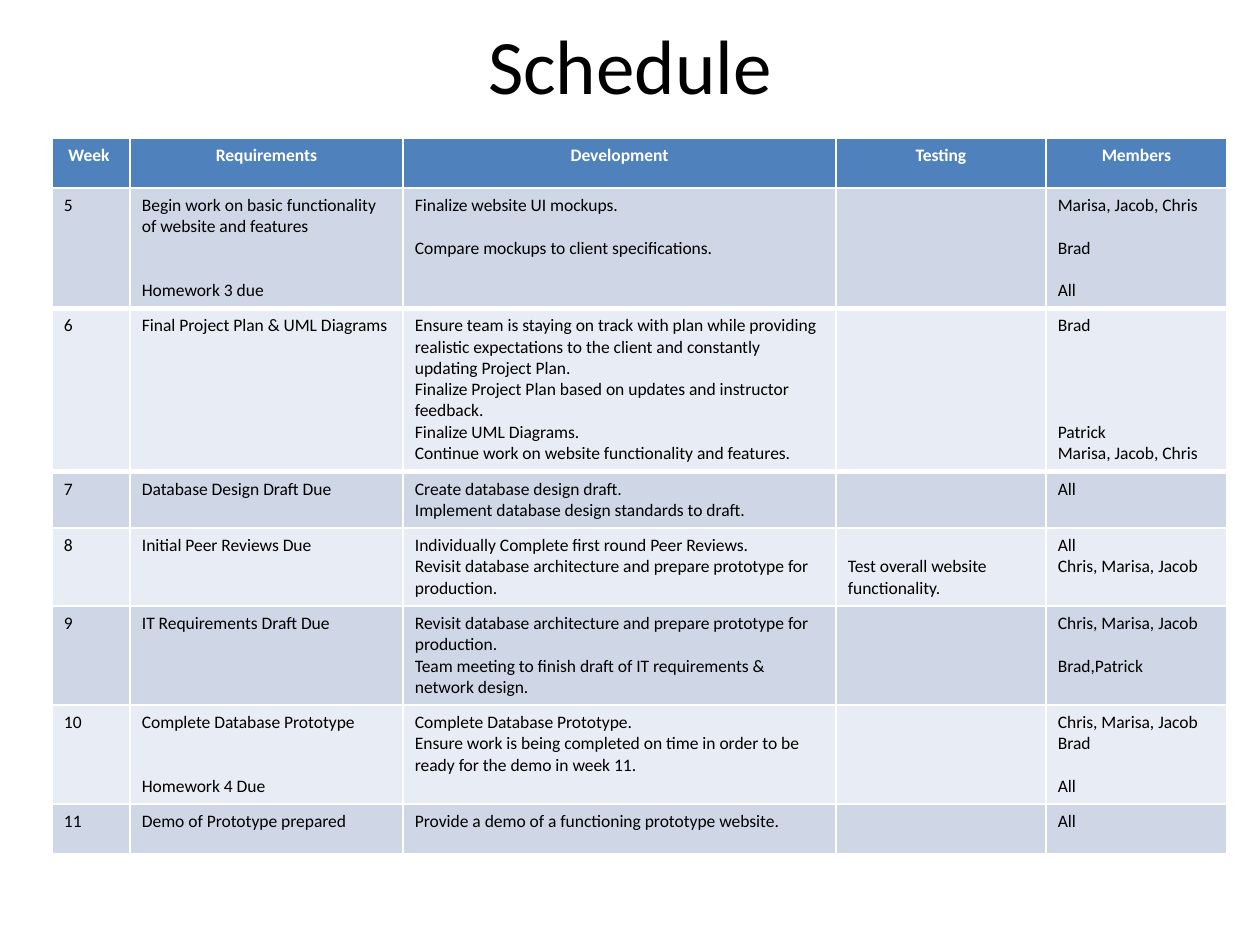
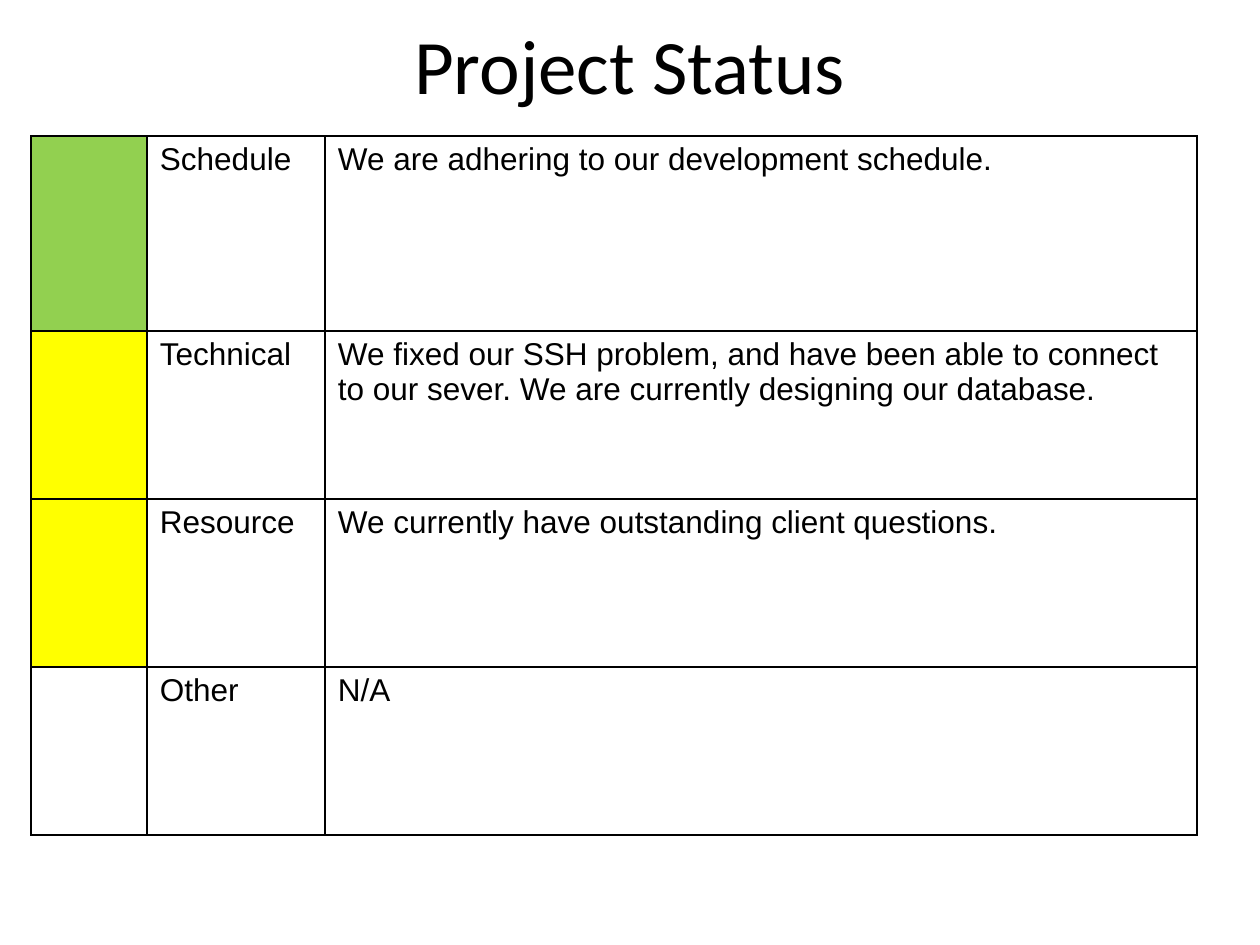
"""Build the schedule and project status slides."""
from pptx import Presentation
from pptx.dml.color import RGBColor
from pptx.enum.text import MSO_ANCHOR, PP_ALIGN
from pptx.oxml.ns import qn
from pptx.util import Emu, Pt
from lxml.etree import SubElement

HUES = {
    "black": "000000", "white": "FFFFFF", "head": "4F81BD",
    "odd": "CFD7E7", "even": "E8ECF4", "green": "92D050", "yellow": "FFFF00",
}

HEADS = ("Week ", "Requirements", "Development", "Testing", "Members")
WEEKS = [
    ("5", "Begin work on basic functionality of website and features\n\n\nHomework 3 due",
     "Finalize website UI mockups.\n\nCompare mockups to client specifications.",
     "", "Marisa, Jacob, Chris\n\nBrad\n\nAll"),
    ("6", "Final Project Plan & UML Diagrams",
     "Ensure team is staying on track with plan while providing realistic "
     "expectations to the client and constantly updating Project Plan.\n"
     "Finalize Project Plan based on updates and instructor feedback.\n"
     "Finalize UML Diagrams.\nContinue work on website functionality and features.",
     "", "Brad\n\n\n\n\nPatrick\nMarisa, Jacob, Chris"),
    ("7", "Database Design Draft Due",
     "Create database design draft.\nImplement database design standards to draft.",
     "", "All"),
    ("8", "Initial Peer Reviews Due",
     "Individually Complete first round Peer Reviews.\n"
     "Revisit database architecture and prepare prototype for production.",
     "\nTest overall website functionality.", "All\nChris, Marisa, Jacob"),
    ("9", "IT Requirements Draft Due",
     "Revisit database architecture and prepare prototype for production.\n"
     "Team meeting to finish draft of IT requirements & network design.",
     "", "Chris, Marisa, Jacob\n\nBrad,Patrick"),
    ("10", "Complete Database Prototype\n\n\nHomework 4 Due",
     "Complete Database Prototype.\nEnsure work is being completed on time in "
     "order to be ready for the demo in week 11.",
     "", "Chris, Marisa, Jacob\nBrad\n\nAll"),
    ("11", "Demo of Prototype prepared",
     "Provide a demo of a functioning prototype website.", "", "All"),
]
STATES = [
    ("green", "Schedule", "We are adhering to our development schedule."),
    ("yellow", "Technical", "We fixed our SSH problem, and have been able to connect "
     "to our sever. We are currently designing our database."),
    ("yellow", "Resource", "We currently have outstanding client questions."),
    ("white", "Other", "N/A"),
]

PLAN = {
    "title": "Schedule", "rows": [HEADS, *WEEKS], "at": (52, 138),
    "wide": (78, 273, 433, 210, 181), "high": (50, 120, 163, 56, 78, 99, 99, 50),
    "font": "Calibri", "size": 10, "lead": 12.2, "pad": (12, 7),
    "rule": "white", "thick": {2: 3, 3: 3}, "head": True,
    "fill": lambda r, c: "head" if r == 0 else "odd" if r % 2 else "even",
}
STATUS = {
    "title": "Project Status", "rows": [("", *row[1:]) for row in STATES],
    "at": (31, 136), "wide": (116, 178, 872), "high": (195, 168, 168, 168),
    "font": "Arial", "size": 18, "lead": 20.7, "pad": (13, 6),
    "rule": "black", "thick": {}, "head": False,
    "fill": lambda r, c: "white" if c else STATES[r][0],
}


def px(n):
    """Turn px into EMU."""
    return Emu(round(n * 914400 / 126))


def apply(item, form):
    """Set each format value on an item."""
    for key, val in form.items():
        setattr(item, key, val)


def style(font, hue, **form):
    """Format a font."""
    apply(font, form)
    font.color.rgb = RGBColor.from_string(HUES[hue])


def edge(cell, hue, top, base):
    """Draw the four borders of a cell."""
    prop = cell._tc.get_or_add_tcPr()
    for side, width in zip("LRTB", (1, 1, top, base)):
        line = SubElement(prop, qn("a:ln" + side), w=str(Pt(width)))
        paint = SubElement(line, qn("a:solidFill"))
        SubElement(paint, qn("a:srgbClr"), val=HUES[hue])


def write(cell, text, spec, head):
    """Write lines, turning each empty line into space above the next."""
    frame = cell.text_frame
    across, down = spec["pad"]
    apply(cell, {"margin_left": px(across), "margin_right": px(across),
                 "margin_top": px(down), "margin_bottom": px(down)})
    para, gap = frame.paragraphs[0], 0
    if not text:
        SubElement(para._p, qn("a:endParaRPr"), sz=str(spec["size"] * 100))
        return
    first = True
    for line in text.split("\n"):
        if not line:
            gap += 1
            continue
        space = Pt(gap * spec["lead"])
        if first:
            cell.margin_top = px(down) + space
        else:
            para = frame.add_paragraph()
            para.space_before = space
        para.alignment = PP_ALIGN.CENTER if head else PP_ALIGN.LEFT
        run = para.add_run()
        run.text = line
        style(run.font, "white" if head else "black", name=spec["font"],
              size=Pt(spec["size"]), bold=head)
        first, gap = False, 0


def build(deck, spec):
    """Add one slide with a title and a table."""
    slide = deck.slides.add_slide(deck.slide_layouts[5])
    title = slide.shapes.title
    apply(title, {"left": px(63), "top": px(10), "width": px(1134),
                  "height": px(108), "text": spec["title"]})
    title.text_frame.vertical_anchor = MSO_ANCHOR.MIDDLE
    para = title.text_frame.paragraphs[0]
    para.alignment = PP_ALIGN.CENTER
    style(para.runs[0].font, "black", name="Calibri", size=Pt(44))

    rows, wide, high = spec["rows"], spec["wide"], spec["high"]
    box = (*spec["at"], sum(wide), sum(high))
    grid = slide.shapes.add_table(len(rows), len(wide), *map(px, box)).table
    apply(grid, {"first_row": spec["head"], "horz_banding": False})
    for col, width in zip(grid.columns, wide):
        col.width = px(width)
    for r, row in enumerate(rows):
        grid.rows[r].height = px(high[r])
        for c, text in enumerate(row):
            cell = grid.cell(r, c)
            thick = spec["thick"]
            edge(cell, spec["rule"], thick.get(r, 1), thick.get(r + 1, 1))
            cell.fill.solid()
            cell.fill.fore_color.rgb = RGBColor.from_string(HUES[spec["fill"](r, c)])
            write(cell, text, spec, spec["head"] and r == 0)


def main():
    """Build and save the deck."""
    deck = Presentation()
    apply(deck, {"slide_width": px(1260), "slide_height": px(945)})
    for spec in (PLAN, STATUS):
        build(deck, spec)
    deck.save("out.pptx")


if __name__ == "__main__":
    main()
